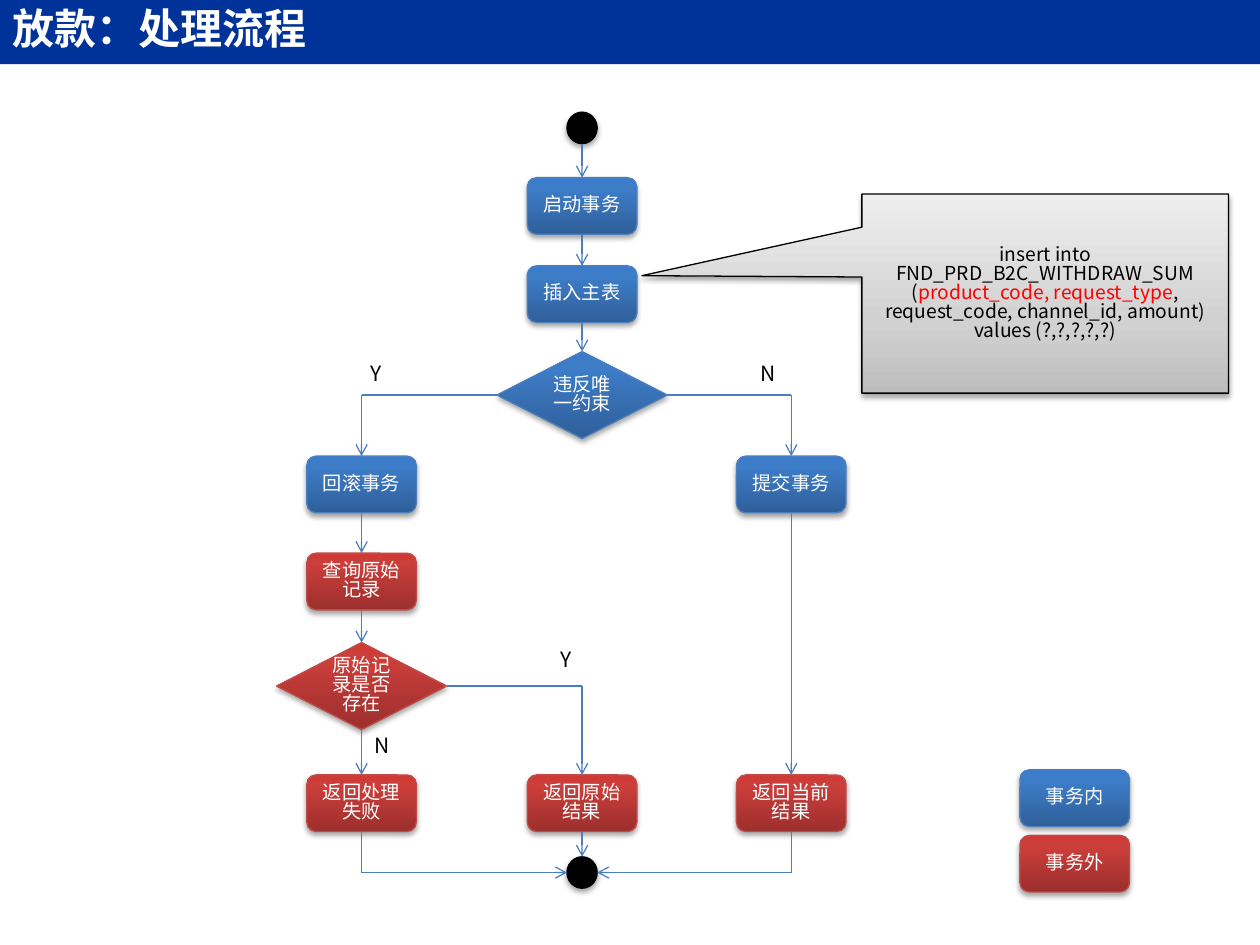
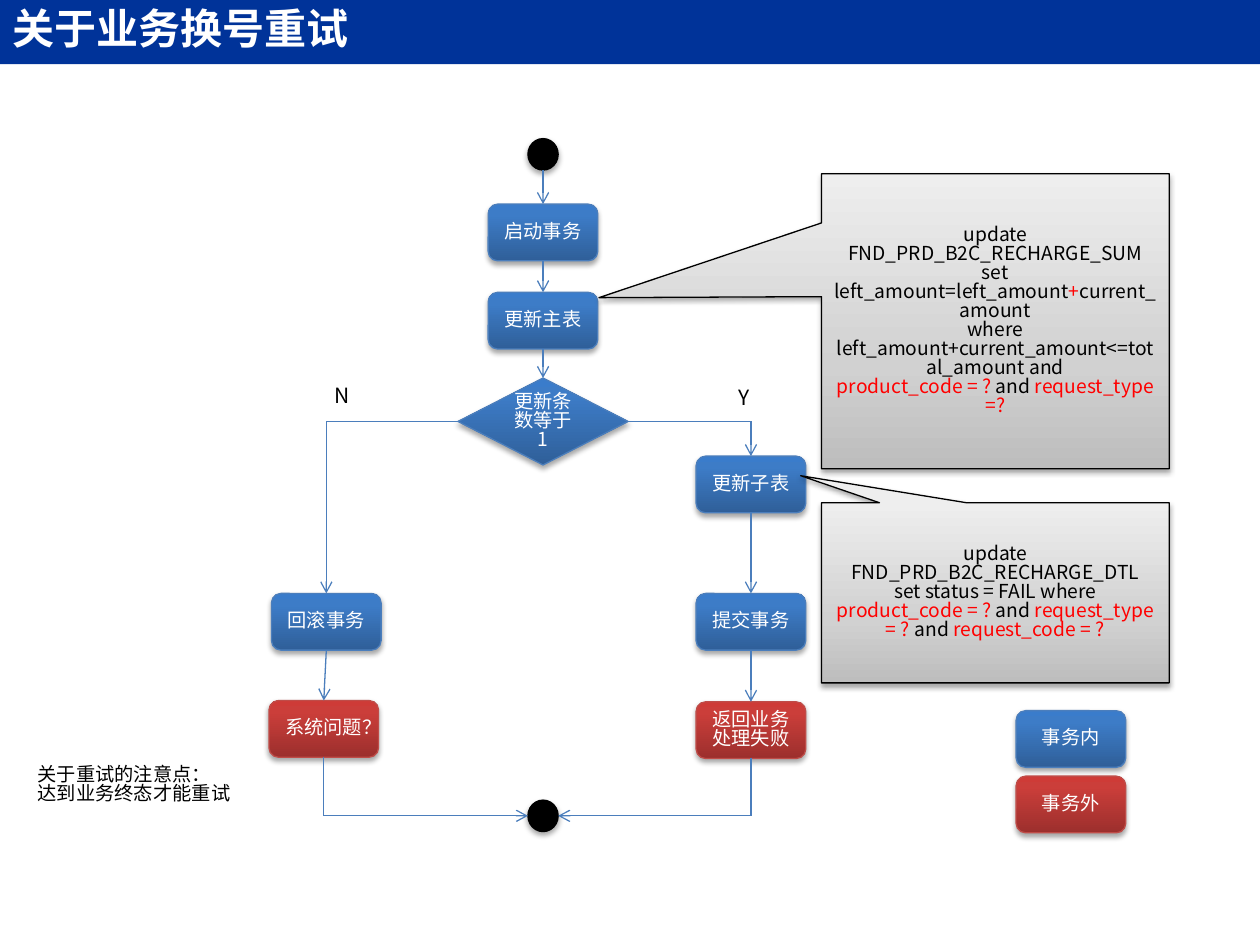
from dataclasses import dataclass

from lxml.etree import SubElement
from pptx import Presentation
from pptx.dml.color import RGBColor
from pptx.enum.shapes import MSO_CONNECTOR, MSO_SHAPE
from pptx.enum.text import MSO_ANCHOR, PP_ALIGN
from pptx.oxml.ns import qn
from pptx.util import Inches, Pt

TOP, LEFT, BOTTOM, RIGHT = range(4)


@dataclass(frozen=True)
class Theme:
    font: str = "Noto Sans CJK SC"
    head: int = 24
    body: int = 11
    label: int = 12
    pitch: float = 0.82
    stroke: float = 0.75
    band: str = "003399"
    white: str = "FFFFFF"
    black: str = "000000"
    red: str = "FF0000"
    edge: str = "4B7EBC"
    inner: tuple = ("4B7EBC", ((0, "2F5F99"), (80, "3D7CC7"), (100, "3A7CCB")))
    outer: tuple = ("BF4C48", ((0, "9C2F2D"), (80, "CB3E3A"), (100, "CE3B37")))
    note: tuple = ("000000", ((0, "BDBDBD"), (35, "D1D1D1"), (100, "EEEEEE")))


class Deck:
    def __init__(self, theme):
        self.theme = theme
        self.show = Presentation()
        self.show.slide_width = Inches(10)
        self.show.slide_height = Inches(7.5)

    def page(self, title):
        self.slide = self.show.slides.add_slide(self.show.slide_layouts[6])
        band = self.shape(MSO_SHAPE.RECTANGLE, 0, 0, 10, 0.51)
        self.solid(band, self.theme.band)
        band.line.fill.background()
        self.letter(band, [title], self.theme.head, self.theme.white, PP_ALIGN.LEFT, True)

    def shape(self, kind, x, y, w, h):
        shape = self.slide.shapes.add_shape(kind, Inches(x), Inches(y), Inches(w), Inches(h))
        shape.shadow.inherit = False
        return shape

    def solid(self, shape, color):
        shape.fill.solid()
        shape.fill.fore_color.rgb = RGBColor.from_string(color)

    def stroke(self, shape, color):
        shape.line.color.rgb = RGBColor.from_string(color)
        shape.line.width = Pt(self.theme.stroke)

    def tint(self, shape, style):
        edge, stops = style
        shape.fill.gradient()
        shape.fill.gradient_angle = 90
        group = shape._element.spPr.find(qn("a:gradFill")).find(qn("a:gsLst"))
        group.clear()
        for spot, color in stops:
            stop = SubElement(group, qn("a:gs"), pos=str(spot * 1000))
            SubElement(stop, qn("a:srgbClr"), val=color)
        self.stroke(shape, edge)
        self.shade(shape)

    def shade(self, shape):
        group = shape._element.spPr.find(qn("a:effectLst"))
        cast = SubElement(group, qn("a:outerShdw"), blurRad=str(Pt(3.1)),
                          dist=str(Pt(1.8)), dir="5400000", rotWithShape="0")
        color = SubElement(cast, qn("a:srgbClr"), val=self.theme.black)
        SubElement(color, qn("a:alpha"), val="35000")

    def letter(self, shape, lines, size, color, align=PP_ALIGN.CENTER, bold=False, wrap=True):
        frame = shape.text_frame
        frame.word_wrap = wrap
        frame.vertical_anchor = MSO_ANCHOR.MIDDLE
        for i, line in enumerate(lines):
            para = frame.add_paragraph() if i else frame.paragraphs[0]
            para.alignment = align
            para.line_spacing = self.theme.pitch
            font = para.font
            font.name, font.size, font.bold = self.theme.font, Pt(size), bold
            font.color.rgb = RGBColor.from_string(color)
            SubElement(para._p.pPr.find(qn("a:defRPr")), qn("a:ea"), typeface=self.theme.font)
            for j, part in enumerate(line.split("*")):
                if part:
                    run = para.add_run()
                    run.text = part
                    if j % 2:
                        run.font.color.rgb = RGBColor.from_string(self.theme.red)

    def node(self, kind, text, x, y, w, h, style):
        shape = self.shape(kind, x - w / 2, y, w, h)
        self.tint(shape, style)
        self.letter(shape, [text], self.theme.body, self.theme.white)
        return shape

    def box(self, text, x, y, style):
        return self.node(MSO_SHAPE.ROUNDED_RECTANGLE, text, x, y, 0.87, 0.45, style)

    def choice(self, text, x, y, style):
        return self.node(MSO_SHAPE.FLOWCHART_DECISION, text, x, y, 1.35, 0.69, style)

    def dot(self, x, y):
        shape = self.shape(MSO_SHAPE.FLOWCHART_CONNECTOR, x - 0.12, y, 0.24, 0.25)
        self.solid(shape, self.theme.black)
        self.stroke(shape, self.theme.black)
        self.shade(shape)
        return shape

    def callout(self, lines, x, y, w, h, tip):
        shape = self.shape(MSO_SHAPE.RECTANGULAR_CALLOUT, x, y, w, h)
        shape.adjustments[0], shape.adjustments[1] = tip
        self.tint(shape, self.theme.note)
        self.letter(shape, lines, self.theme.body, self.theme.black)

    def text(self, lines, x, y, w, h, size, wrap=True):
        box = self.slide.shapes.add_textbox(Inches(x), Inches(y), Inches(w), Inches(h))
        self.letter(box, lines, size, self.theme.black, PP_ALIGN.LEFT, wrap=wrap)

    def label(self, text, x, y):
        self.text([text], x, y, 0.32, 0.3, self.theme.label, False)

    def legend(self, x, y):
        self.box("事务内", x, y, self.theme.inner)
        self.box("事务外", x, y + 0.52, self.theme.outer)

    def point(self, end):
        shape, side = end
        if isinstance(shape, int):
            return end
        x, y, w, h = shape.left, shape.top, shape.width, shape.height
        return ((x + w // 2, y), (x, y + h // 2), (x + w // 2, y + h), (x + w, y + h // 2))[side]

    def line(self, start, end, arrow=True):
        wire = self.slide.shapes.add_connector(
            MSO_CONNECTOR.STRAIGHT, *self.point(start), *self.point(end))
        for (shape, side), join in ((start, wire.begin_connect), (end, wire.end_connect)):
            if not isinstance(shape, int) and shape.auto_shape_type != MSO_SHAPE.FLOWCHART_CONNECTOR:
                join(shape, side)
        self.stroke(wire, self.theme.edge)
        if arrow:
            SubElement(wire._element.spPr.find(qn("a:ln")), qn("a:tailEnd"), type="arrow")
        SubElement(wire._element.spPr, qn("a:effectLst"))

    def chain(self, *nodes):
        for above, below in zip(nodes, nodes[1:]):
            self.line((above, BOTTOM), (below, TOP))

    def bend(self, start, end):
        (x1, y1), (x2, y2) = self.point(start), self.point(end)
        turn = (x1, y2) if start[1] == BOTTOM else (x2, y1)
        self.line(start, turn, False)
        self.line(turn, end)


def payout(deck):
    inner, outer = deck.theme.inner, deck.theme.outer
    left, mid, right = 2.87, 4.62, 6.28
    deck.page("放款：处理流程")
    first = deck.dot(mid, 0.89)
    begin = deck.box("启动事务", mid, 1.41, inner)
    insert = deck.box("插入主表", mid, 2.11, inner)
    unique = deck.choice("违反唯一约束", mid, 2.79, inner)
    undo = deck.box("回滚事务", left, 3.62, inner)
    query = deck.box("查询原始记录", left, 4.39, outer)
    found = deck.choice("原始记录是否存在", left, 5.1, outer)
    failed = deck.box("返回处理失败", left, 6.15, outer)
    prior = deck.box("返回原始结果", mid, 6.15, outer)
    commit = deck.box("提交事务", right, 3.62, inner)
    current = deck.box("返回当前结果", right, 6.15, outer)
    last = deck.dot(mid, 6.8)
    deck.chain(first, begin, insert, unique)
    deck.chain(undo, query, found, failed)
    deck.chain(commit, current)
    deck.chain(prior, last)
    deck.bend((unique, LEFT), (undo, TOP))
    deck.bend((unique, RIGHT), (commit, TOP))
    deck.bend((found, RIGHT), (prior, TOP))
    deck.bend((failed, BOTTOM), (last, LEFT))
    deck.bend((current, BOTTOM), (last, RIGHT))
    for mark in (("Y", 2.84, 2.83), ("N", 5.94, 2.83), ("Y", 4.35, 5.1), ("N", 2.87, 5.78)):
        deck.label(*mark)
    deck.callout(
        ["insert into FND_PRD_B2C_WITHDRAW_SUM",
         "(*product_code, request_type*, request_code, channel_id, amount) values (?,?,?,?,?)"],
        6.84, 1.54, 2.91, 1.58, (-1.1, -0.09))
    deck.legend(8.53, 6.11)


def retry(deck):
    inner, outer = deck.theme.inner, deck.theme.outer
    left, mid, right = 2.59, 4.31, 5.96
    deck.page("关于业务换号重试")
    first = deck.dot(mid, 1.1)
    begin = deck.box("启动事务", mid, 1.62, inner)
    update = deck.box("更新主表", mid, 2.32, inner)
    count = deck.choice("更新条数等于1", mid, 3, inner)
    undo = deck.box("回滚事务", left, 4.71, inner)
    issue = deck.box("系统问题？", left - 0.02, 5.56, outer)
    detail = deck.box("更新子表", right, 3.62, inner)
    commit = deck.box("提交事务", right, 4.71, inner)
    failed = deck.box("返回业务处理失败", right, 5.57, outer)
    last = deck.dot(mid, 6.35)
    deck.chain(first, begin, update, count)
    deck.chain(undo, issue)
    deck.chain(detail, commit, failed)
    deck.bend((count, LEFT), (undo, TOP))
    deck.bend((count, RIGHT), (detail, TOP))
    deck.bend((issue, BOTTOM), (last, LEFT))
    deck.bend((failed, BOTTOM), (last, RIGHT))
    deck.label("N", 2.56, 3)
    deck.label("Y", 5.76, 3.02)
    deck.callout(
        ["update FND_PRD_B2C_RECHARGE_SUM set left_amount=left_amount*+*current_amount",
         "where",
         "left_amount+current_amount<=total_amount and",
         "*product_code = ? *and *request_type =?*"],
        6.52, 1.38, 2.76, 2.34, (-1.14, -0.08))
    deck.callout(
        ["update FND_PRD_B2C_RECHARGE_DTL",
         "set status = FAIL where *product_code = ?* and *request_type = ? *and *request_code = ?*"],
        6.52, 3.99, 2.76, 1.43, (-0.56, -0.65))
    deck.legend(8.5, 5.64)
    deck.text(["关于重试的注意点：", "达到业务终态才能重试"], 0.2, 6, 2.1, 0.47, deck.theme.body)


def main():
    deck = Deck(Theme())
    payout(deck)
    retry(deck)
    deck.show.save("out.pptx")


if __name__ == "__main__":
    main()
